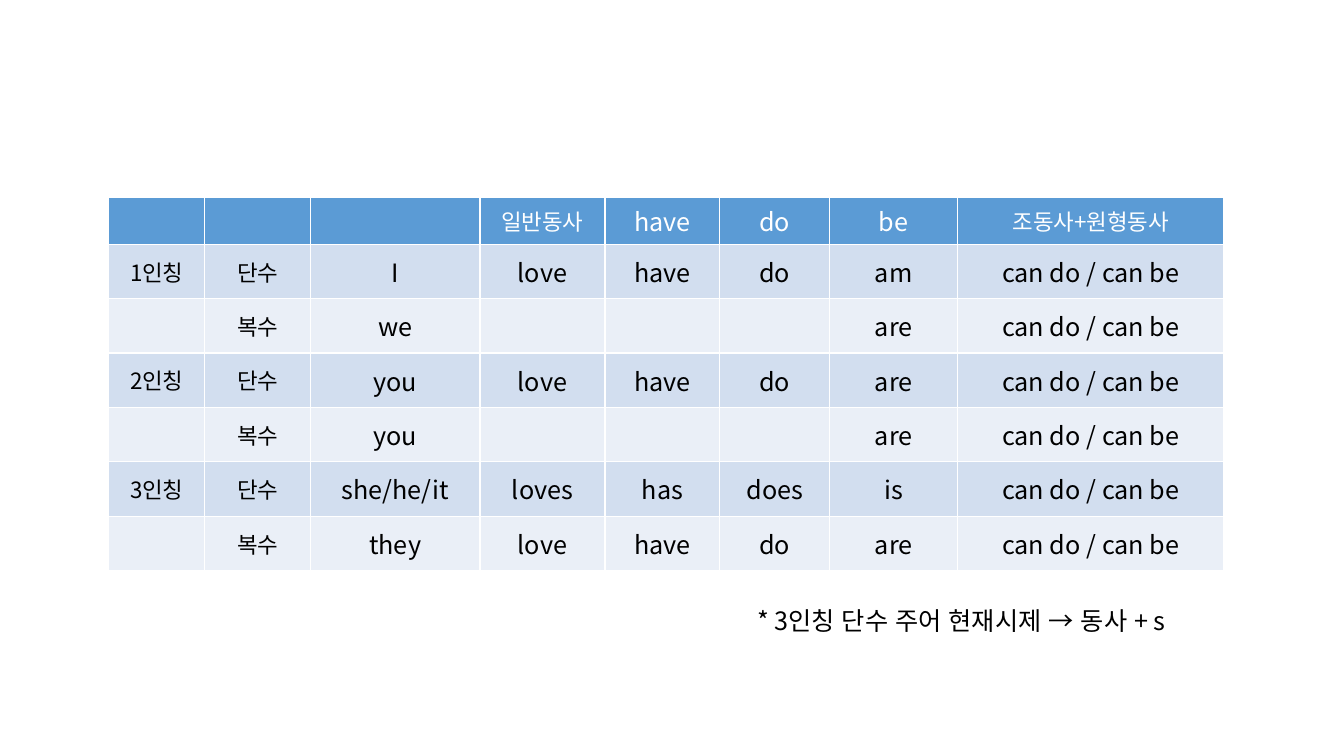
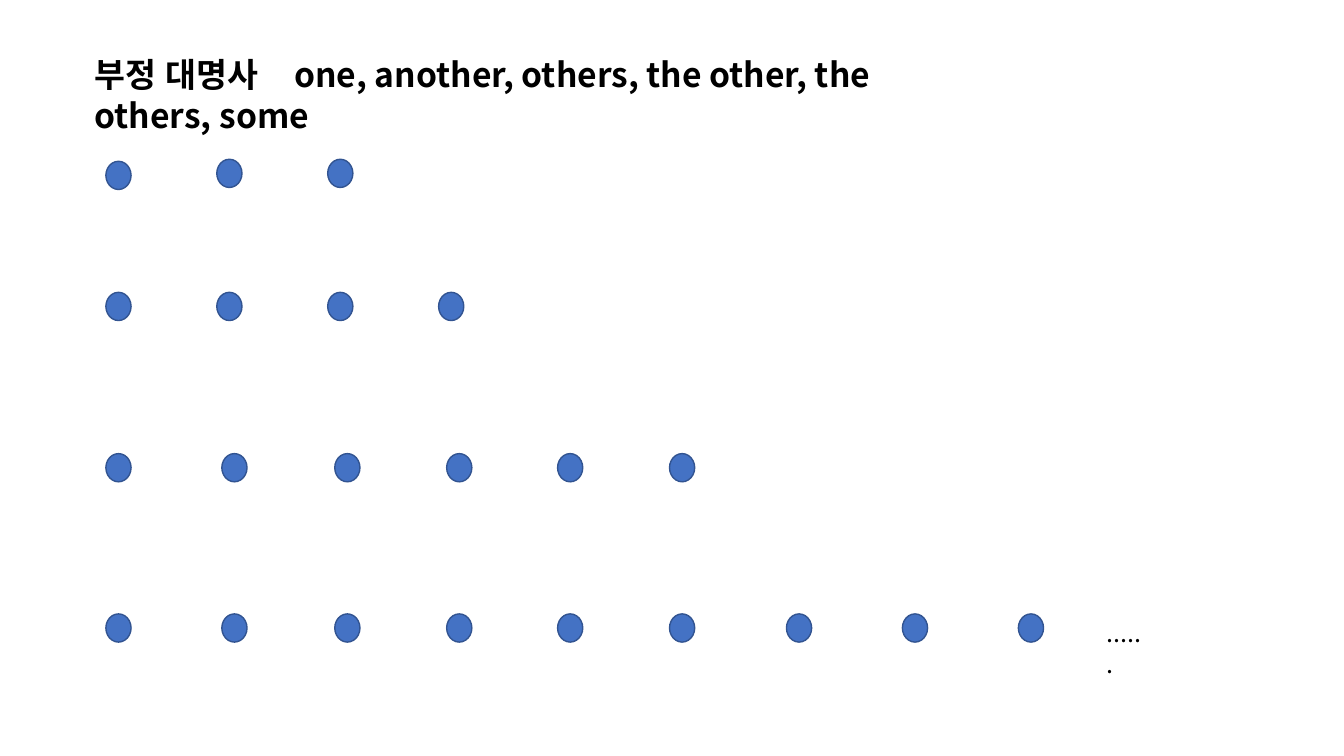
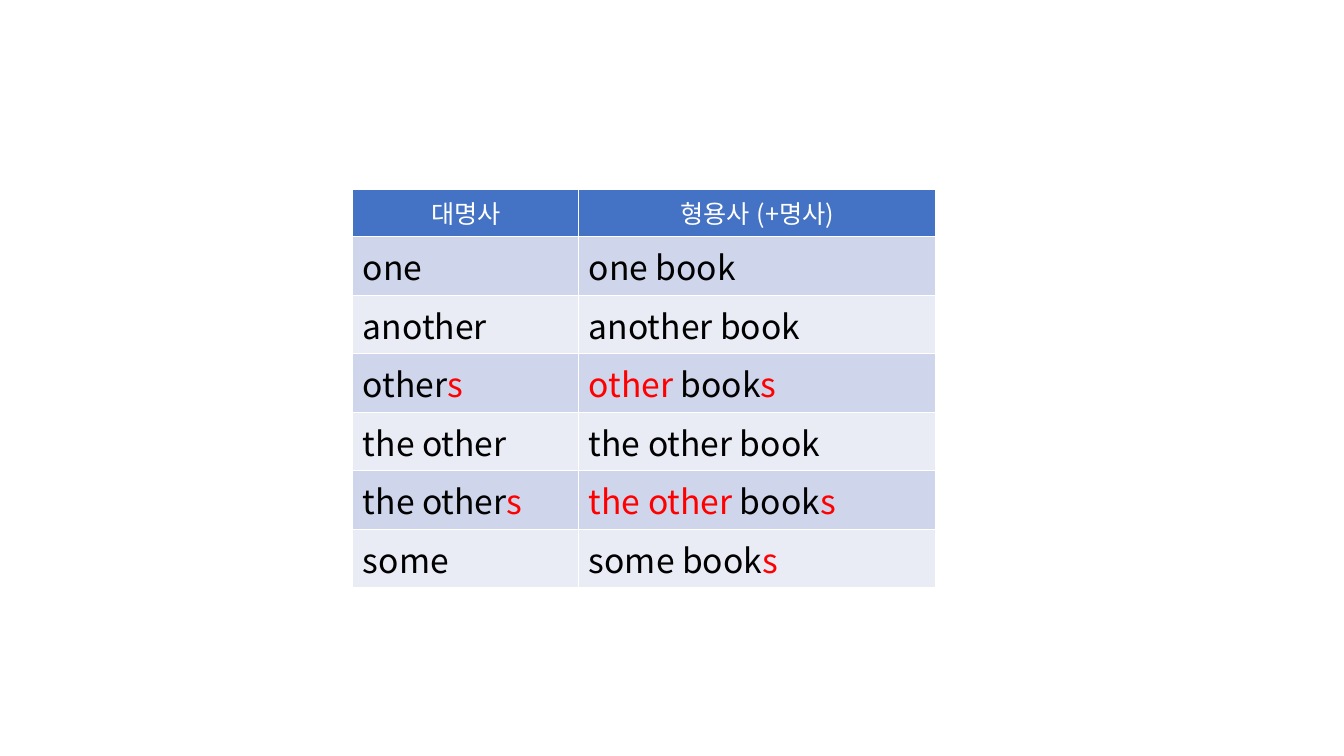
from dataclasses import dataclass

from lxml.etree import SubElement
from pptx import Presentation
from pptx.dml.color import RGBColor
from pptx.enum.lang import MSO_LANGUAGE_ID
from pptx.enum.shapes import MSO_SHAPE
from pptx.enum.text import MSO_ANCHOR, PP_ALIGN
from pptx.oxml.ns import qn
from pptx.util import Inches, Pt


@dataclass(frozen=True)
class Theme:
    font: str = "Noto Sans CJK KR"
    text: str = "000000"
    white: str = "FFFFFF"
    accent: str = "FF0000"
    dot: str = "4472C4"
    dot_line: str = "325491"
    # header, odd body row, even body row
    verb_bands: tuple = ("5B9BD5", "D2DEEF", "EAEFF7")
    pronoun_bands: tuple = ("4472C4", "CFD5EA", "E9EBF5")
    small: int = 16
    body: int = 18
    large: int = 24


THEME = Theme()

VERB_COLUMNS = (0.95, 1.05, 1.68, 1.24, 1.14, 1.09, 1.27, 2.64)
MODAL = "can do / can be"
VERB_ROWS = (
    ("", "", "", "일반동사", "have", "do", "be", "조동사+원형동사"),
    ("1인칭", "단수", "I", "love", "have", "do", "am", MODAL),
    ("", "복수", "we", "", "", "", "are", MODAL),
    ("2인칭", "단수", "you", "love", "have", "do", "are", MODAL),
    ("", "복수", "you", "", "", "", "are", MODAL),
    ("3인칭", "단수", "she/he/it", "loves", "has", "does", "is", MODAL),
    ("", "복수", "they", "love", "have", "do", "are", MODAL),
)

# Every second part between bars is shown in the accent colour.
PRONOUN_ROWS = (
    ("대명사", "형용사 (+명사)"),
    ("one", "one book"),
    ("another", "another book"),
    ("other|s", "|other |book|s"),
    ("the other", "the other book"),
    ("the other|s", "|the other |book|s"),
    ("some", "some book|s"),
)

SHORT_ROW = [1.05 + 1.1 * i for i in range(4)]
LONG_ROW = [1.05, 2.2, 3.32, 4.43, 5.53, 6.64, 7.8, 8.95, 10.1]
DOT_ROWS = (
    (1.6, SHORT_ROW[:1]),
    (1.58, SHORT_ROW[1:3]),
    (2.9, SHORT_ROW),
    (4.5, LONG_ROW[:6]),
    (6.09, LONG_ROW),
)


def verb_size(row, text):
    """Korean cells are smaller than English ones."""
    return THEME.small if any("가" <= letter <= "힣" for letter in text) else THEME.body


def pronoun_size(row, text):
    return THEME.large if row else THEME.body


class Deck:
    def __init__(self, theme):
        self.theme = theme
        self.presentation = Presentation()
        self.presentation.slide_width = Inches(13.33)
        self.presentation.slide_height = Inches(7.5)
        self.slide = None

    def new_slide(self):
        blank = self.presentation.slide_layouts[6]
        self.slide = self.presentation.slides.add_slide(blank)

    def style(self, paragraph, size, color, bold=False):
        font = paragraph.font
        font.name = self.theme.font
        font.size = Pt(size)
        font.bold = bold
        font.language_id = MSO_LANGUAGE_ID.KOREAN
        font.color.rgb = RGBColor.from_string(color)
        defaults = paragraph._p.pPr.find(qn("a:defRPr"))
        SubElement(defaults, qn("a:ea")).set("typeface", self.theme.font)
        for run in paragraph.runs:
            run.font.language_id = MSO_LANGUAGE_ID.KOREAN

    def text(self, left, top, width, height, words, size, bold=False, tab=None):
        box = self.slide.shapes.add_textbox(
            Inches(left), Inches(top), Inches(width), Inches(height))
        box.text_frame.word_wrap = True
        paragraph = box.text_frame.paragraphs[0]
        paragraph.text = words
        if tab:
            stops = SubElement(paragraph._p.get_or_add_pPr(), qn("a:tabLst"))
            stop = SubElement(stops, qn("a:tab"))
            stop.set("pos", str(Inches(tab)))
            stop.set("algn", "l")
        self.style(paragraph, size, self.theme.text, bold)

    def dot(self, left, top):
        dot = self.slide.shapes.add_shape(
            MSO_SHAPE.OVAL, Inches(left), Inches(top), Inches(0.25), Inches(0.28))
        dot.shadow.inherit = False
        dot.fill.solid()
        dot.fill.fore_color.rgb = RGBColor.from_string(self.theme.dot)
        dot.line.color.rgb = RGBColor.from_string(self.theme.dot_line)
        dot.line.width = Pt(1)

    def borders(self, cell):
        properties = cell._tc.get_or_add_tcPr()
        for side in "LRTB":
            line = SubElement(properties, qn(f"a:ln{side}"))
            line.set("w", str(Pt(1)))
            fill = SubElement(line, qn("a:solidFill"))
            SubElement(fill, qn("a:srgbClr")).set("val", self.theme.white)

    def cell(self, cell, words, size, color, fill, centred):
        self.borders(cell)
        cell.fill.solid()
        cell.fill.fore_color.rgb = RGBColor.from_string(fill)
        paragraph = cell.text_frame.paragraphs[0]
        for index, part in enumerate(words.split("|")):
            if part:
                run = paragraph.add_run()
                run.text = part
                if index % 2:
                    run.font.color.rgb = RGBColor.from_string(self.theme.accent)
        if centred:
            paragraph.alignment = PP_ALIGN.CENTER
        self.style(paragraph, size, color)

    def table(self, left, top, columns, heights, rows, bands, size_for,
              centre_body=False, anchor=MSO_ANCHOR.TOP):
        table = self.slide.shapes.add_table(
            len(rows), len(columns), Inches(left), Inches(top),
            Inches(sum(columns)), Inches(sum(heights))).table
        table.first_row = table.horz_banding = False
        for column, width in zip(table.columns, columns):
            column.width = Inches(width)
        for r, (row, height) in enumerate(zip(rows, heights)):
            table.rows[r].height = Inches(height)
            header = r == 0
            fill = bands[0] if header else bands[2 - r % 2]
            color = self.theme.white if header else self.theme.text
            for c, words in enumerate(row):
                cell = table.cell(r, c)
                self.cell(cell, words, size_for(r, words), color, fill,
                          header or centre_body)
                cell.vertical_anchor = anchor


def main():
    deck = Deck(THEME)

    deck.new_slide()
    deck.table(1.08, 1.96, VERB_COLUMNS, [0.45] + [0.54] * 6, VERB_ROWS,
               THEME.verb_bands, verb_size, True, MSO_ANCHOR.MIDDLE)
    deck.text(7.41, 5.96, 4.72, 0.4, "* 3인칭 단수 주어 현재시제 → 동사 + s", THEME.body)

    deck.new_slide()
    for top, lefts in DOT_ROWS:
        for left in lefts:
            deck.dot(left, top)
    deck.text(0.84, 0.49, 8.93, 0.5,
              "부정 대명사\tone, another, others, the other, the others, some",
              THEME.large, bold=True, tab=1.98)
    deck.text(10.88, 6.08, 0.58, 0.4, "......", THEME.body)

    deck.new_slide()
    deck.table(3.5, 1.88, (2.24, 3.54), [0.47] + [0.58] * 6, PRONOUN_ROWS,
               THEME.pronoun_bands, pronoun_size)

    deck.presentation.save("out.pptx")


if __name__ == "__main__":
    main()
